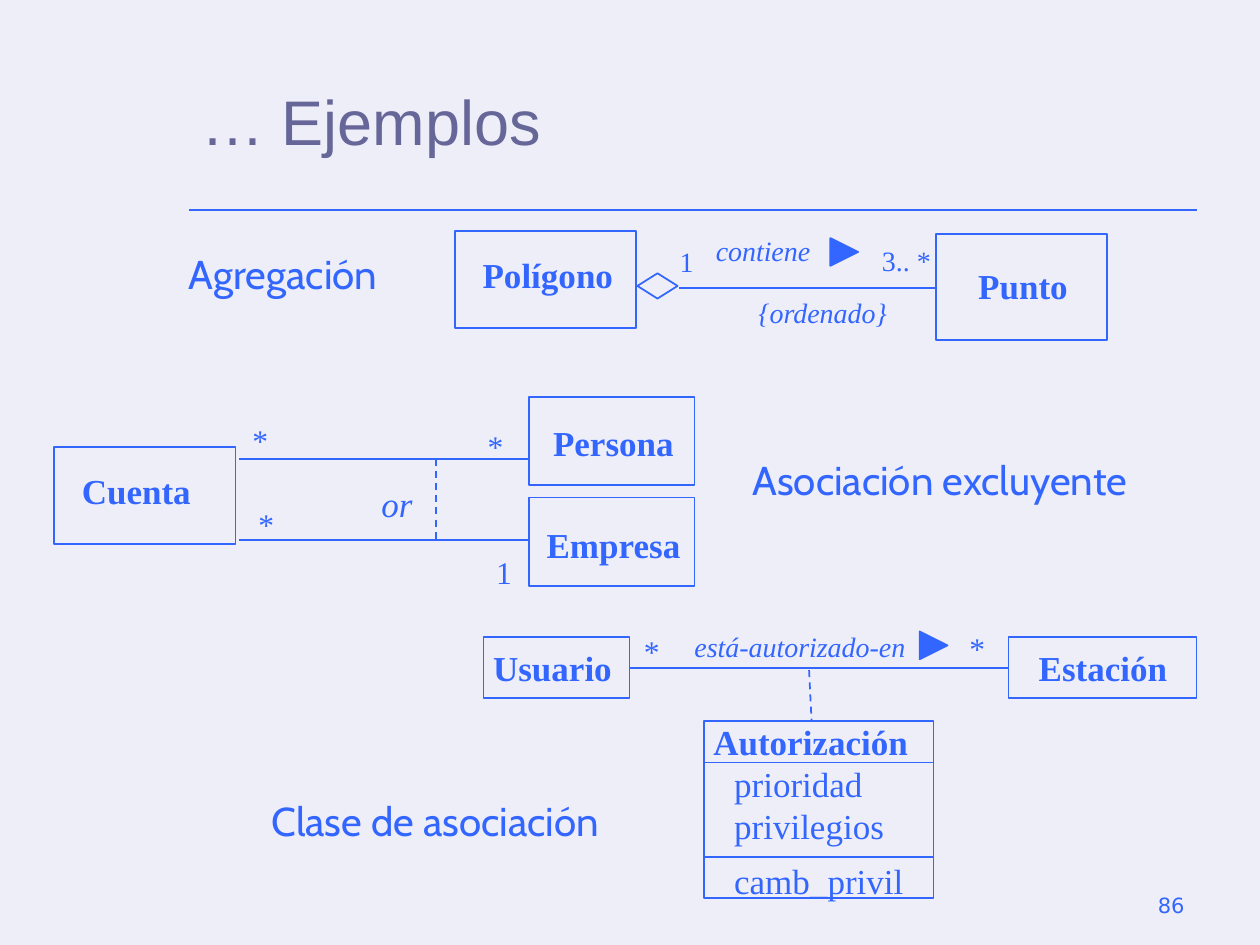
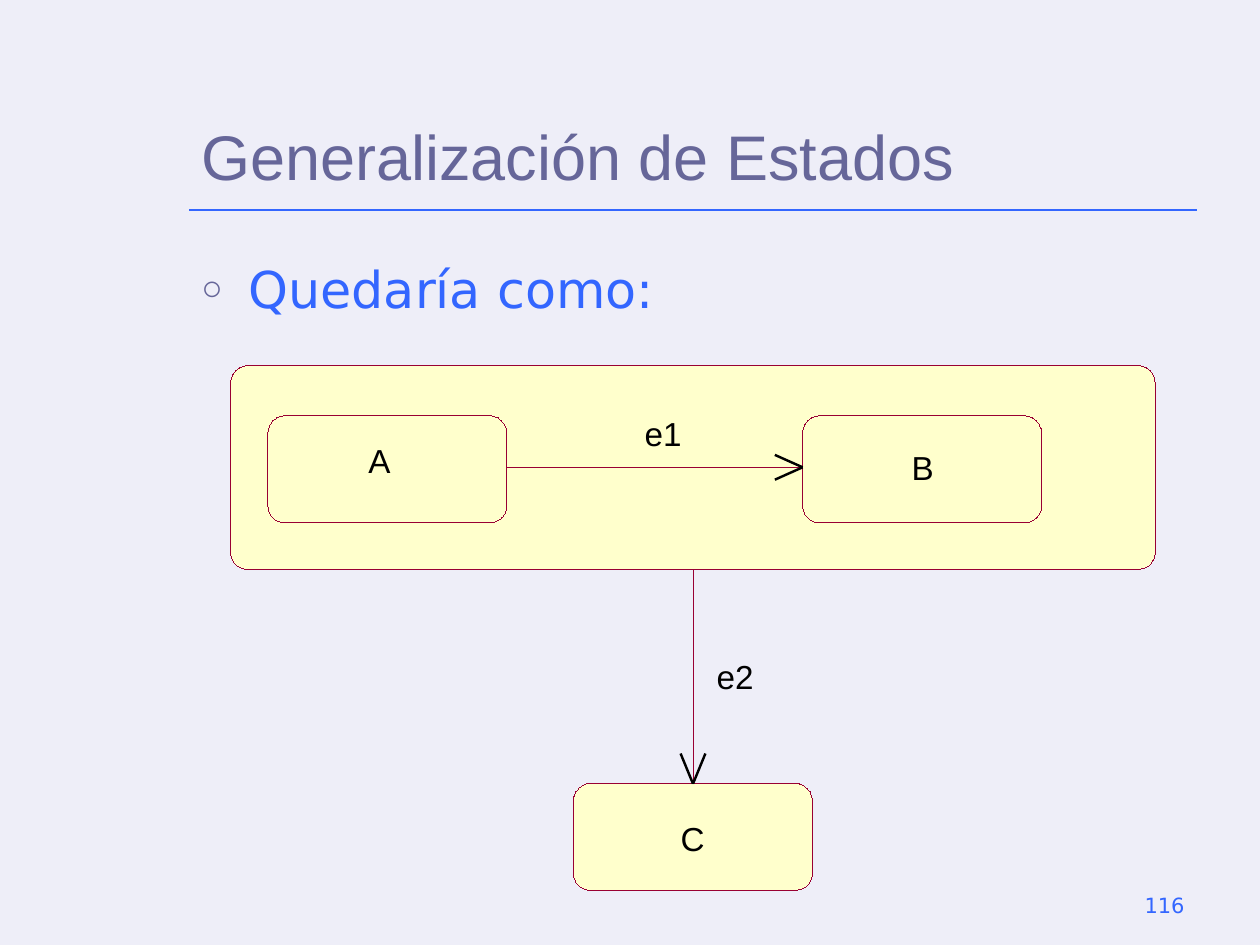
"""Build two UML slides: association examples and state generalisation."""
from lxml import etree
from pptx import Presentation
from pptx.dml.color import RGBColor
from pptx.enum.dml import MSO_LINE
from pptx.enum.shapes import MSO_CONNECTOR, MSO_SHAPE
from pptx.enum.text import MSO_ANCHOR, PP_ALIGN
from pptx.oxml.ns import qn
from pptx.util import Cm, Pt

RECTANGLE = MSO_SHAPE.RECTANGLE
ROUNDED = MSO_SHAPE.ROUNDED_RECTANGLE
DIAMOND = MSO_SHAPE.DIAMOND
ARROW = MSO_SHAPE.RIGHT_ARROW
STRAIGHT = MSO_CONNECTOR.STRAIGHT
DASH = MSO_LINE.DASH
TOP, MIDDLE, BOTTOM = MSO_ANCHOR.TOP, MSO_ANCHOR.MIDDLE, MSO_ANCHOR.BOTTOM
LEFT, CENTER, RIGHT = PP_ALIGN.LEFT, PP_ALIGN.CENTER, PP_ALIGN.RIGHT

COLORS = {
    "background": "EEEEF8",
    "title": "666699",
    "main": "3366FF",
    "state": "FFFFCC",
    "state_line": "990033",
    "black": "000000",
}
TITLE_FONT, BODY_FONT = "Arial", "DejaVu Sans"
HEADING_FONT, UML_FONT = "Cabin", "Times New Roman"
HAIRLINE = 0.01

CLASSES = [
    ("Polígono", (9.17, 4.66, 3.66, 1.96), (9.48, 4.98, 3.15)),
    ("Punto", (18.87, 4.72, 3.45, 2.13), (19.47, 5.21, 2.31)),
    ("Cuenta", (1.09, 9.01, 3.66, 1.96), (1.4, 9.33, 2.72)),
    ("Persona", (10.67, 8, 3.33, 1.78), (10.9, 8.37, 2.95)),
    ("Empresa", (10.67, 10.03, 3.33, 1.78), (10.77, 10.42, 3.23)),
    ("Usuario", (9.75, 12.84, 2.94, 1.24), (9.69, 12.9, 2.92)),
    ("Estación", (20.33, 12.84, 3.79, 1.24), (20.69, 12.9, 3.1)),
    ("Autorización", (14.2, 14.53, 4.62, 3.57), (14.13, 14.4, 4.45)),
]
HEADINGS = [
    ("Agregación", (3.56, 4.9, 4.88)),
    ("Asociación excluyente", (14.92, 9.04, 8.89)),
    ("Clase de asociación", (5.22, 15.93, 7.9)),
]
LABELS = [
    ("1", (13.45, 4.79, 1.57), 16, False),
    ("contiene", (14.18, 4.57, 2.9), 16, True),
    ("3.. *", (17.53, 4.78, 1.57), 16, False),
    ("{ordenado}", (15.04, 5.83, 3.53), 16, True),
    ("*", (4.84, 8.36, 1.27), 18, False),
    ("*", (9.58, 8.48, 1.27), 18, False),
    ("or", (7.44, 9.6, 1.73), 20, True),
    ("*", (4.96, 10.06, 1.27), 18, False),
    ("1", (9.75, 11.02, 1.57), 18, False),
    ("*", (12.73, 12.62, 1.27), 18, False),
    ("está-autorizado-en", (13.75, 12.56, 5.08), 16, True),
    ("*", (19.29, 12.55, 1.27), 18, False),
]
ASSOCIATIONS = [
    (13.69, 5.8, 18.85, 5.8),
    (4.82, 9.25, 10.64, 9.25),
    (4.82, 10.88, 10.64, 10.88),
    (12.7, 13.46, 20.32, 13.46),
]
CLASS_DIVIDERS = [(14.17, y, 18.82, y) for y in (15.37, 17.27)]
DASHED_LINES = [(8.79, 9.25, 8.79, 10.88), (16.31, 13.51, 16.36, 14.53)]
READING_ARROWS = [(16.74, 4.8), (18.54, 12.73)]
ATTRIBUTES = "prioridad\nprivilegios\ncamb_privil"

STATES = [
    ((4.65, 7.37, 18.64, 4.11), 0.085),
    ((5.4, 8.38, 4.82, 2.16), 0.163),
    ((16.18, 8.38, 4.82, 2.16), 0.163),
    ((11.56, 15.79, 4.82, 2.16), 0.163),
]
STATE_LABELS = [
    ("A", (7.42, 8.87, 0.46)),
    ("B", (18.37, 9.02, 0.46)),
    ("C", (13.72, 16.49, 0.48)),
    ("e1", (12.87, 8.33, 1)),
    ("e2", (14.32, 13.23, 1)),
]
BARB_SPREAD = 0.25
TRANSITIONS = [
    ((10.21, 9.42, 16.18, 9.42), [(15.62, 9.42 + side) for side in (BARB_SPREAD, -BARB_SPREAD)]),
    ((13.97, 11.48, 13.97, 15.8), [(13.97 + side, 15.19) for side in (BARB_SPREAD, -BARB_SPREAD)]),
]


def rgb(name):
    return RGBColor.from_string(COLORS[name])


def add_text(page, text, place, size=20, font=UML_FONT, color="main", bold=False,
             italic=False, align=LEFT, anchor=TOP, wrap=True, inset=True):
    """Place text; a place without a height gets that of one line."""
    margin_x, margin_y = (Cm(0.25), Cm(0.13)) if inset else (0, 0)
    left, top, width = (Cm(value) for value in place[:3])
    height = Cm(place[3]) if len(place) > 3 else Pt(size * 1.2) + 2 * margin_y
    box = page.shapes.add_textbox(left, top, width, height)
    frame = box.text_frame
    frame.word_wrap = wrap
    frame.vertical_anchor = anchor
    frame.margin_left = frame.margin_right = margin_x
    frame.margin_top = frame.margin_bottom = margin_y
    frame.text = text
    for para in frame.paragraphs:
        para.alignment = align
        for span in para.runs:
            span.font.name = font
            span.font.size = Pt(size)
            span.font.bold = bold
            span.font.italic = italic
            span.font.color.rgb = rgb(color)
    return frame


def add_figure(page, kind, place, fill=None, line="main", width=1, adjustments=()):
    figure = page.shapes.add_shape(kind, *(Cm(value) for value in place))
    figure.shadow.inherit = False
    if fill:
        figure.fill.solid()
        figure.fill.fore_color.rgb = rgb(fill)
    else:
        figure.fill.background()
    figure.line.color.rgb = rgb(line)
    figure.line.width = Pt(width)
    for index, value in enumerate(adjustments):
        figure.adjustments[index] = value


def add_line(page, ends, color="main", width=1, dash=None):
    connector = page.shapes.add_connector(STRAIGHT, *(Cm(value) for value in ends))
    connector.line.color.rgb = rgb(color)
    connector.line.width = Pt(width)
    if dash:
        connector.line.dash_style = dash
    etree.SubElement(connector._element.spPr, qn("a:effectLst"))


def add_bullet(para, char, color, percent, indent):
    properties = para._p.get_or_add_pPr()
    properties.set("marL", str(Cm(indent)))
    properties.set("indent", str(-Cm(indent)))
    bullet_color = etree.SubElement(properties, qn("a:buClr"))
    etree.SubElement(bullet_color, qn("a:srgbClr"), val=COLORS[color])
    etree.SubElement(properties, qn("a:buSzPct"), val=str(percent * 1000))
    etree.SubElement(properties, qn("a:buFont"), typeface=TITLE_FONT)
    etree.SubElement(properties, qn("a:buChar"), char=char)


def add_page(deck, title, number, anchor):
    page = deck.slides.add_slide(deck.slide_layouts[6])
    page.background.fill.solid()
    page.background.fill.fore_color.rgb = rgb("background")
    add_line(page, (3.81, 4.24, 24.13, 4.24))
    add_text(page, number, (18.21, 17.36, 5.92, 1.27), size=12, font=BODY_FONT,
             align=RIGHT, anchor=BOTTOM)
    add_text(page, title, (3.81, 0.84, 20.32, 3.18), size=36, font=TITLE_FONT,
             color="title", anchor=anchor)
    return page


def build_examples(deck):
    page = add_page(deck, "… Ejemplos", "86", MIDDLE)
    for name, outline, name_place in CLASSES:
        add_figure(page, RECTANGLE, outline)
        add_text(page, name, name_place, bold=True, wrap=False)
    for ends in ASSOCIATIONS + CLASS_DIVIDERS:
        add_line(page, ends)
    for ends in DASHED_LINES:
        add_line(page, ends, dash=DASH)
    add_figure(page, DIAMOND, (12.85, 5.51, 0.81, 0.51))
    for left, top in READING_ARROWS:
        add_figure(page, ARROW, (left, top, 0.56, 0.56), fill="main", adjustments=(0.5, 1))
    for text, place, size, italic in LABELS:
        add_text(page, text, place, size=size, italic=italic)
    for text, place in HEADINGS:
        add_text(page, text, place, size=23, font=HEADING_FONT, wrap=False)
    attributes = add_text(page, ATTRIBUTES, (14.55, 15.24, 3.94, 3.05), wrap=False)
    attributes.paragraphs[-1].line_spacing = 1.3


def build_states(deck):
    page = add_page(deck, "Generalización de Estados", "116", BOTTOM)
    body = add_text(page, "Quedaría como:", (3.81, 5.06, 20.32, 11.43), size=29, font=BODY_FONT)
    add_bullet(body.paragraphs[0], "○", "title", 70, 0.95)
    for place, rounding in STATES:
        add_figure(page, ROUNDED, place, fill="state", line="state_line", width=HAIRLINE,
                   adjustments=(rounding,))
    for ends, barbs in TRANSITIONS:
        add_line(page, ends, color="state_line", width=HAIRLINE)
        for barb in barbs:
            add_line(page, ends[2:] + barb, color="black", width=1.39)
    for text, place in STATE_LABELS:
        add_text(page, text, place, size=19, font=TITLE_FONT, color="black",
                 align=CENTER, wrap=False, inset=False)


def main():
    deck = Presentation()
    deck.slide_width, deck.slide_height = Cm(25.4), Cm(19.05)
    build_examples(deck)
    build_states(deck)
    deck.save("out.pptx")


if __name__ == "__main__":
    main()
